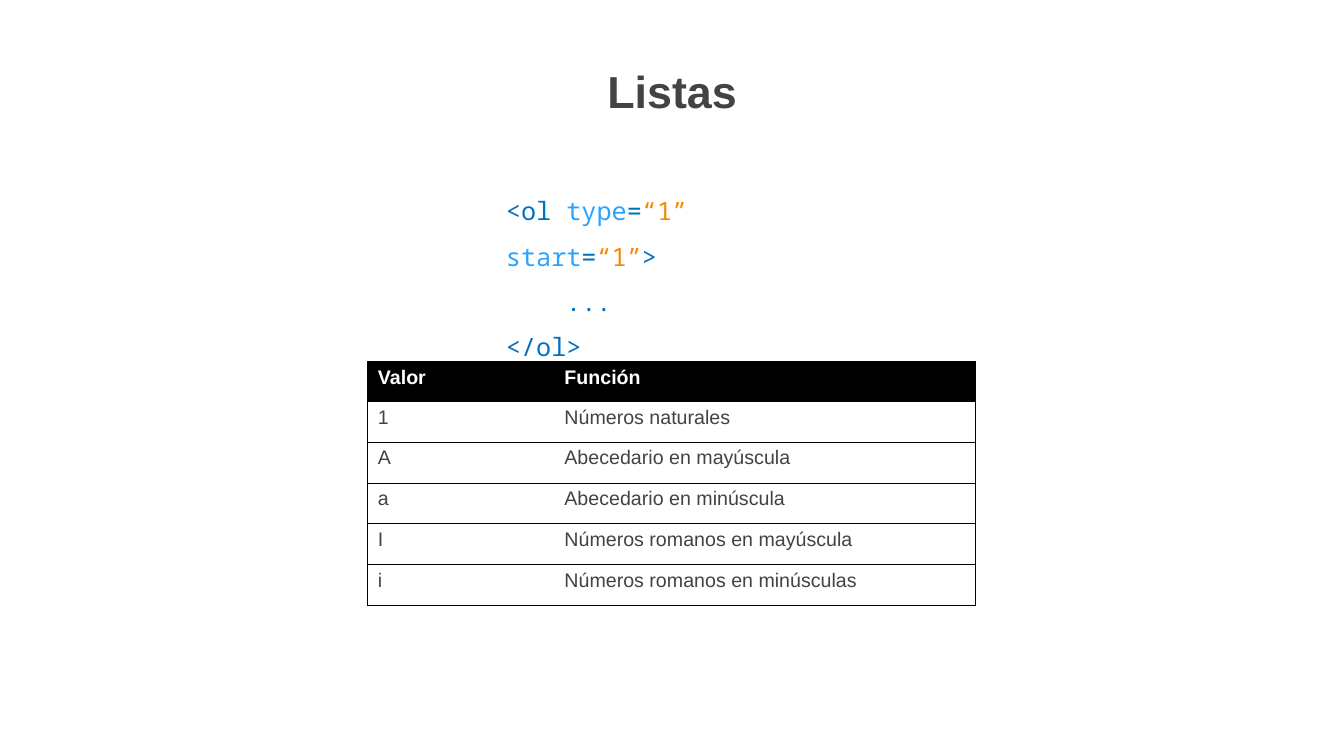
"""Build a slide on HTML ordered lists with a code sample and a table of types."""
import pptx
import pptx.dml.color
import pptx.enum.text
import pptx.oxml
import pptx.oxml.ns
import pptx.util

Cm = pptx.util.Cm
Pt = pptx.util.Pt
HUES = {
    "ink": "434343",
    "black": "000000",
    "white": "FFFFFF",
    "tag": "0070C0",
    "attr": "29A3FF",
    "value": "FA8606",
}


class Deck:
    def __init__(self):
        self.show = pptx.Presentation()
        self.show.slide_width = Cm(33.87)
        self.show.slide_height = Cm(19.05)
        self.slide = self.show.slides.add_slide(self.show.slide_layouts[6])
        self.sans = "Arial"
        self.mono = "Noto Sans Mono"

    def hue(self, name):
        return pptx.dml.color.RGBColor.from_string(HUES[name])

    def style(self, run, face, size, hue, bold=False):
        run.font.name = face
        run.font.size = Pt(size)
        run.font.bold = bold
        run.font.color.rgb = self.hue(hue)

    def frame(self, *area):
        box = self.slide.shapes.add_textbox(*map(Cm, area))
        box.text_frame.word_wrap = True
        return box.text_frame

    def title(self, text, *area):
        frame = self.frame(*area)
        frame.text = text
        frame.vertical_anchor = pptx.enum.text.MSO_ANCHOR.MIDDLE
        para = frame.paragraphs[0]
        para.alignment = pptx.enum.text.PP_ALIGN.CENTER
        self.style(para.runs[0], self.sans, 32, "ink", True)

    def code(self, lines, *area):
        frame = self.frame(*area)
        for row, (indent, parts) in enumerate(lines):
            para = frame.add_paragraph() if row else frame.paragraphs[0]
            para.line_spacing = 1.5
            para._p.get_or_add_pPr().set("marL", str(Cm(indent)))
            for text, hue in parts:
                run = para.add_run()
                run.text = text
                self.style(run, self.mono, 18, hue)

    def border(self, cell, side, shown):
        props = cell._tc.get_or_add_tcPr()
        line = pptx.oxml.parse_xml(
            f'<a:ln{side} w="{Pt(0.75)}" {pptx.oxml.ns.nsdecls("a")}>'
            + (f'<a:solidFill><a:srgbClr val="{HUES["black"]}"/></a:solidFill>'
               if shown else "<a:noFill/>")
            + f"</a:ln{side}>")
        props.append(line)

    def table(self, data, left, top, widths, heights):
        shape = self.slide.shapes.add_table(
            len(data), len(widths), Cm(left), Cm(top),
            Cm(sum(widths)), Cm(sum(heights)))
        grid = shape.table
        grid.horz_banding = False
        for col, width in zip(grid.columns, widths):
            col.width = Cm(width)
        for row, height in zip(grid.rows, heights):
            row.height = Cm(height)
        for r, texts in enumerate(data):
            for c, text in enumerate(texts):
                cell = grid.cell(r, c)
                cell.text_frame.text = text
                head = r == 0
                self.style(cell.text_frame.paragraphs[0].runs[0], self.sans,
                           14, "white" if head else "ink", head)
                edges = {"L": c == 0, "R": c == len(widths) - 1,
                         "T": True, "B": True}
                for side, shown in edges.items():
                    self.border(cell, side, shown)
                cell.fill.solid()
                cell.fill.fore_color.rgb = self.hue("black" if head else "white")


deck = Deck()
deck.title("Listas", 7.29, 1.3, 19.3, 1.98)
types = [
    ("Valor", "Función"),
    ("1", "Números naturales"),
    ("A", "Abecedario en mayúscula"),
    ("a", "Abecedario en minúscula"),
    ("I", "Números romanos en mayúscula"),
    ("i", "Números romanos en minúsculas"),
]
deck.table(types, 9.27, 9.12, [4.7, 10.62], [0.99] + [1.03] * 5)
sample = [
    (0, [("<ol ", "tag"), ("type", "attr"), ("=", "tag"), ("“1” ", "value"),
         ("start", "attr"), ("=", "tag"), ("“1”", "value"), (">", "tag")]),
    (1.52, [("...", "tag")]),
    (0, [("</ol>", "tag")]),
]
deck.code(sample, 12.5, 4.42, 8.89, 3.61)
deck.show.save("out.pptx")
